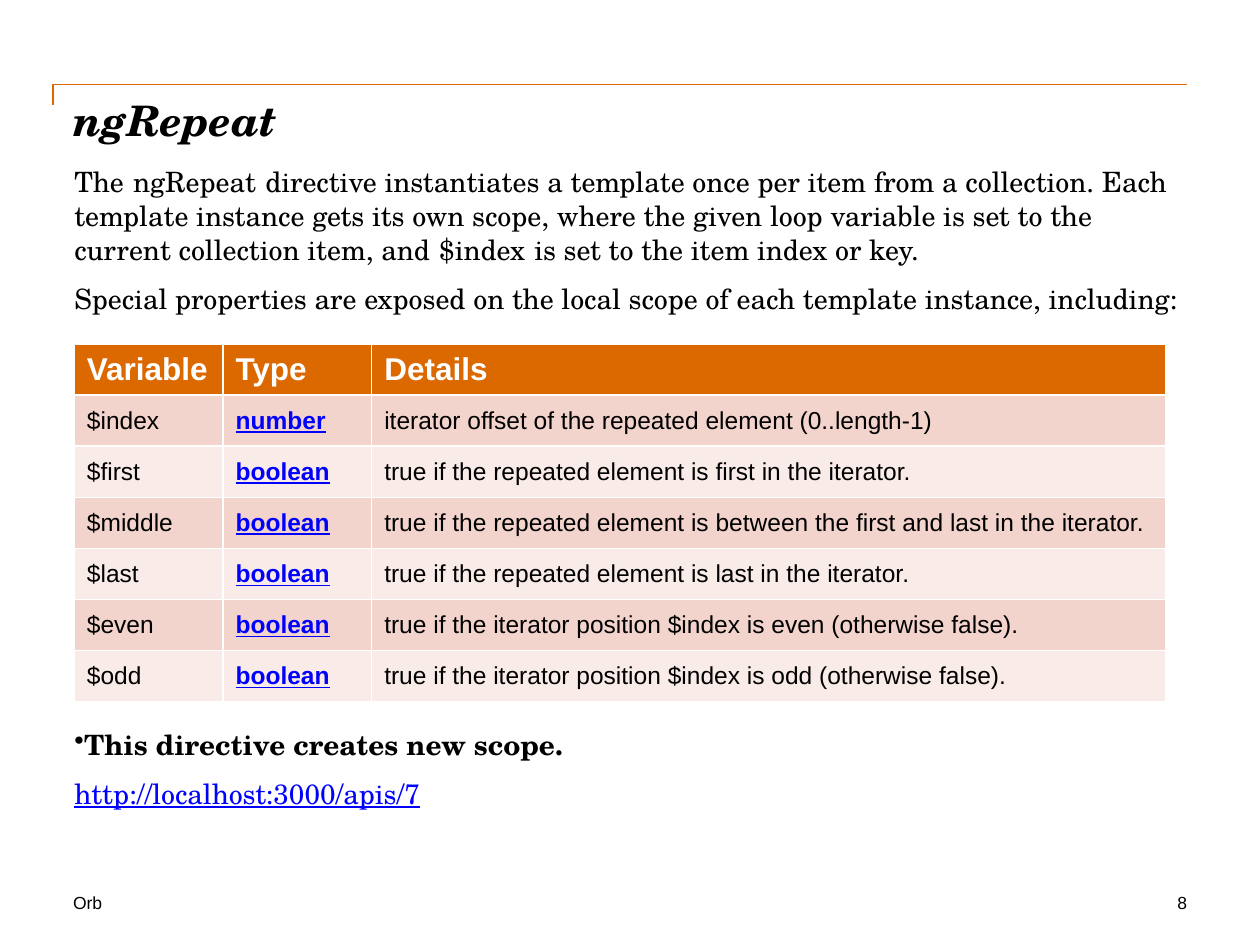
from lxml.etree import SubElement
from pptx import Presentation
from pptx.dml.color import RGBColor
from pptx.enum.shapes import MSO_CONNECTOR as Connector
from pptx.enum.text import MSO_ANCHOR as Anchor, PP_ALIGN as Align
from pptx.oxml.ns import qn
from pptx.util import Inches, Pt

ORANGE = RGBColor(0xDC, 0x69, 0x00)
BLACK = RGBColor(0, 0, 0)
WHITE = RGBColor(255, 255, 255)
LINK_BLUE = RGBColor(0, 0, 255)
BANDS = (RGBColor(0xF9, 0xEB, 0xE7), RGBColor(0xF2, 0xD4, 0xCC))
SERIF, SANS = "TeX Gyre Schola", "Arial"
LINK = {"color": LINK_BLUE, "underline": True}


class SlideBuilder:
    """Holds the style and the current slide."""

    def __init__(self, slide):
        self.slide = slide

    def add_span(self, para, text, font, size, color=BLACK, bold=False,
                 italic=False, underline=None):
        """Add one styled run to a paragraph."""
        span = para.add_run()
        span.text = text
        style = span.font
        style.name, style.size, style.color.rgb = font, Pt(size), color
        style.bold, style.italic, style.underline = bold, italic, underline

    def text_box(self, left, top, width, height, entries, font, size,
                 align=Align.LEFT, space_after=0):
        """Add a text box from (text, style, bulleted) entries."""
        box = self.slide.shapes.add_textbox(
            Inches(left), Inches(top), Inches(width), Inches(height))
        frame = box.text_frame
        frame.word_wrap = True
        frame.margin_left = frame.margin_right = 0
        frame.margin_top = frame.margin_bottom = 0
        for number, (text, style, bulleted) in enumerate(entries):
            para = frame.add_paragraph() if number else frame.paragraphs[0]
            para.alignment = align
            para.space_after = Pt(space_after)
            if bulleted:
                bullet = SubElement(para._p.get_or_add_pPr(), qn("a:buChar"))
                bullet.set("char", "•")
            self.add_span(para, text, font, size, **style)

    def corner_line(self, left, top, right, bottom):
        """Add a line running leftwards along the top, then down."""
        line = self.slide.shapes.add_connector(
            Connector.ELBOW, Inches(right), Inches(top),
            Inches(left), Inches(bottom))
        line.line.color.rgb = ORANGE
        line.line.width = Pt(1)
        properties = line._element.spPr
        properties.find(qn("a:prstGeom")).set("prst", "bentConnector2")
        SubElement(properties, qn("a:effectLst"))

    def table(self, left, top, widths, row_height, rows):
        """Add a table with a header, banded rows and a link column."""
        grid = self.slide.shapes.add_table(
            len(rows), len(widths), Inches(left), Inches(top),
            Inches(sum(widths)), Inches(row_height * len(rows))).table
        for column, width in zip(grid.columns, widths):
            column.width = Inches(width)
        for row, texts in enumerate(rows):
            for column, text in enumerate(texts):
                cell = grid.cell(row, column)
                cell.vertical_anchor = Anchor.MIDDLE
                cell.fill.solid()
                cell.fill.fore_color.rgb = BANDS[row % 2] if row else ORANGE
                if row == 0:
                    style = {"size": 18, "color": WHITE, "bold": True}
                elif column == 1:
                    style = {"size": 14, "bold": True, **LINK}
                else:
                    style = {"size": 14}
                self.add_span(cell.text_frame.paragraphs[0], text, SANS,
                              **style)


INTRO = [
    ("The\u00a0ngRepeat\u00a0directive instantiates a template once per item "
     "from a collection. Each template instance gets its own scope, where the "
     "given loop variable is set to the current collection item, and"
     "\u00a0$index\u00a0is set to the item index or key.", {}, False),
    ("Special properties are exposed on the local scope of each template "
     "instance, including:", {}, False),
]
CLOSING = [
    ("This directive creates new scope.", {"bold": True}, True),
    ("http://localhost:3000/apis/7", LINK, False),
]
PROPERTIES = [
    ("Variable", "Type", "Details"),
    ("$index", "number",
     "iterator offset of the repeated element (0..length-1)"),
    ("$first", "boolean",
     "true if the repeated element is first in the iterator."),
    ("$middle", "boolean",
     "true if the repeated element is between the first and last in the "
     "iterator."),
    ("$last", "boolean",
     "true if the repeated element is last in the iterator."),
    ("$even", "boolean",
     "true if the iterator position\u00a0$index\u00a0is even (otherwise false)."),
    ("$odd", "boolean",
     "true if the iterator position\u00a0$index\u00a0is odd (otherwise false)."),
]


def main():
    """Build the slide and save the deck."""
    deck = Presentation()
    deck.slide_width, deck.slide_height = Inches(10), Inches(7.5)
    page = SlideBuilder(deck.slides.add_slide(deck.slide_layouts[6]))
    page.text_box(0.58, 7.08, 2.83, 0.17, [("Orb", {}, False)], SANS, 10)
    page.corner_line(0.42, 0.67, 9.42, 0.83)
    page.text_box(0.58, 0.75, 8.83, 0.56,
                  [("ngRepeat", {"bold": True, "italic": True}, False)],
                  SERIF, 24)
    page.text_box(7.75, 7.08, 1.67, 0.17, [("8", {}, False)], SANS, 10,
                  align=Align.RIGHT)
    page.text_box(0.59, 1.31, 8.83, 1.3, INTRO, SERIF, 16, space_after=9)
    page.table(0.59, 2.73, (1.18, 1.18, 6.3), 2.84 / 7, PROPERTIES)
    page.text_box(0.59, 5.77, 8.83, 0.89, CLOSING, SERIF, 16, space_after=9)
    deck.save("out.pptx")


main()
